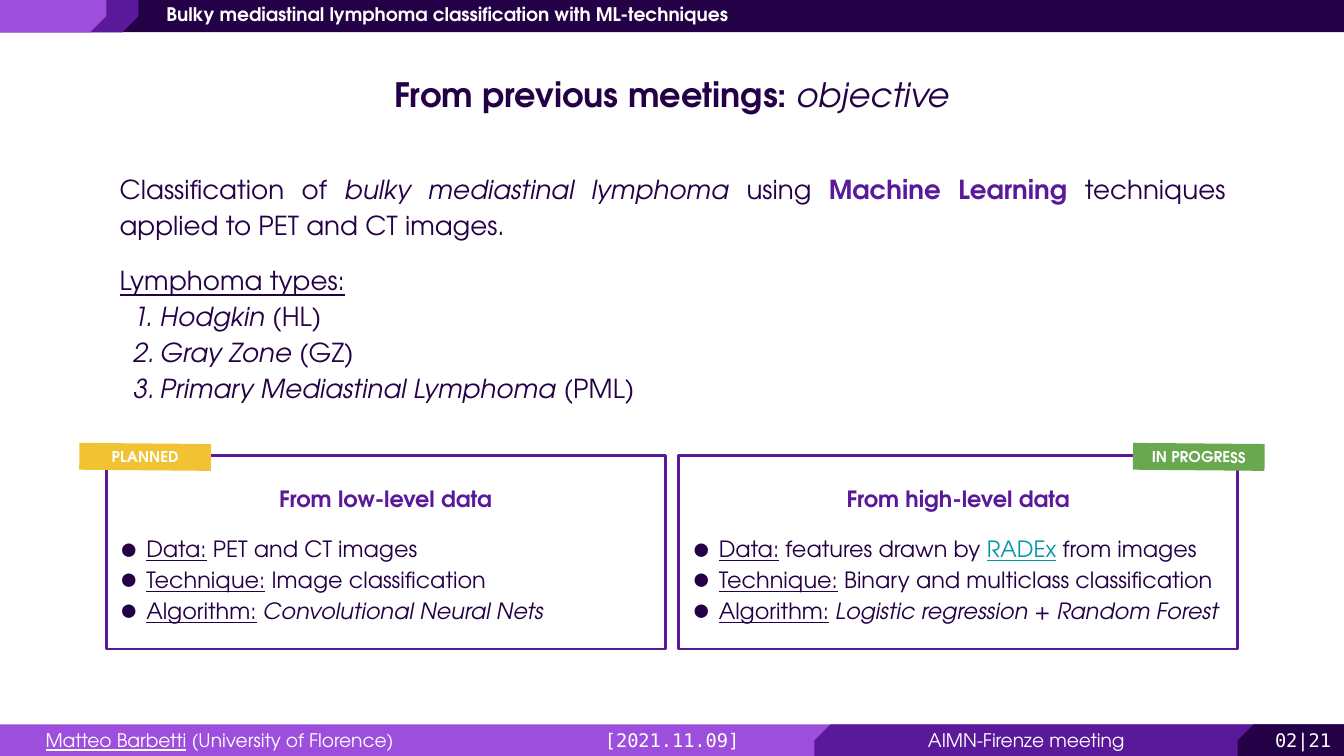
"""Build the objective slide of a lymphoma classification talk."""
from dataclasses import dataclass
from typing import Any

import pptx
import pptx.dml.color
import pptx.enum.shapes
import pptx.enum.text
import pptx.oxml
import pptx.oxml.ns
import pptx.util

Inches = pptx.util.Inches
RGBColor = pptx.dml.color.RGBColor
Align = pptx.enum.text.PP_ALIGN
Anchor = pptx.enum.text.MSO_ANCHOR
Preset = pptx.enum.shapes.MSO_SHAPE

INK = RGBColor(0x24, 0x00, 0x46)
VIOLET = RGBColor(0x5A, 0x18, 0x9A)
LILAC = RGBColor(0x9D, 0x4E, 0xDD)
WHITE = RGBColor(0xFF, 0xFF, 0xFF)
TEAL = RGBColor(0x00, 0x97, 0xA7)
GREEN = RGBColor(0x6A, 0xA8, 0x4F)
YELLOW = RGBColor(0xF1, 0xC2, 0x32)

SANS = "TeX Gyre Adventor"
MONO = "DejaVu Sans Mono"
WIDTH = 10
HEIGHT = WIDTH * 9 / 16
BAR = 0.24
FOOT = 5.39
FOOT_TEXT = 5.32


@dataclass(frozen=True)
class Span:
    text: str
    bold: bool = False
    italic: bool = False
    underline: bool = False
    color: RGBColor = INK


@dataclass(frozen=True)
class Bar:
    left: float
    top: float
    width: float
    fill: RGBColor
    snipped: bool = True


@dataclass(frozen=True)
class Caption:
    left: float
    top: float
    width: float
    span: Span
    align: Align = Align.CENTER
    font: str = SANS
    rest: str = ""


@dataclass(frozen=True)
class Card:
    left: float
    heading: str
    rows: list[list[Span]]


@dataclass(frozen=True)
class Tag:
    left: float
    text: str
    fill: RGBColor


BARS = [
    Bar(0, 0, WIDTH, INK, snipped=False),
    Bar(0, FOOT, WIDTH, LILAC, snipped=False),
    Bar(6.06, FOOT, 3.94, VIOLET),
    Bar(9.21, FOOT, 0.79, INK),
    Bar(0, 0, 1.03, VIOLET),
    Bar(0, 0, 0.79, LILAC),
]
CAPTIONS = [
    Caption(0.24, FOOT_TEXT, 3.15, Span("Matteo Barbetti", underline=True, color=WHITE),
            Align.LEFT, rest=" (University of Florence)"),
    Caption(1.14, -0.08, 4.72,
            Span("Bulky mediastinal lymphoma classification with ML-techniques",
                 bold=True, color=WHITE), Align.LEFT),
    Caption(9.34, FOOT_TEXT, 0.71, Span("02|21", color=WHITE), font=MONO),
    Caption(4.34, FOOT_TEXT, 1.32, Span("[2021.11.09]", color=WHITE), font=MONO),
    Caption(6.06, FOOT_TEXT, 3.15, Span("AIMN-Firenze meeting", color=WHITE)),
]
TITLE = [Span("From previous meetings: ", bold=True), Span("objective", italic=True)]
AIM = [
    Span("Classification of "), Span("bulky mediastinal lymphoma", italic=True),
    Span(" using "), Span("Machine Learning", bold=True, color=VIOLET),
    Span(" techniques applied to PET and CT images."),
]
TYPES = [("Hodgkin", "HL"), ("Gray Zone", "GZ"), ("Primary Mediastinal Lymphoma", "PML")]
ROW_NAMES = ["Data:", "Technique:", "Algorithm:"]
CARDS = [
    Card(0.79, "From low-level data", [
        [Span("PET and CT images")],
        [Span("Image classification")],
        [Span("Convolutional Neural Nets", italic=True)],
    ]),
    Card(5.05, "From high-level data", [
        [Span("features drawn by "), Span("RADEx", underline=True, color=TEAL),
         Span(" from images")],
        [Span("Binary and multiclass classification")],
        [Span("Logistic regression", italic=True), Span(" + "),
         Span("Random Forest", italic=True)],
    ]),
]
TAGS = [Tag(8.43, "IN PROGRESS", GREEN), Tag(0.59, "PLANNED", YELLOW)]


def write(para: Any, text: str, *, size: float, color: RGBColor = INK, font: str = SANS,
          bold: bool = False, italic: bool = False, underline: bool = False) -> None:
    run = para.add_run()
    run.text = text
    run.font.name = font
    run.font.size = pptx.util.Pt(size)
    run.font.color.rgb = color
    run.font.bold, run.font.italic, run.font.underline = bold, italic, underline


def prepare(box: Any, anchor: Anchor = Anchor.MIDDLE) -> Any:
    frame = box.text_frame
    frame.word_wrap = True
    frame.auto_size = pptx.enum.text.MSO_AUTO_SIZE.NONE
    frame.vertical_anchor = anchor
    frame.margin_left = frame.margin_right = Inches(0.1)
    frame.margin_top = frame.margin_bottom = Inches(0.1)
    return frame


def place(box: Any, left: float, top: float, width: float, height: float) -> None:
    box.left, box.top = Inches(left), Inches(top)
    box.width, box.height = Inches(width), Inches(height)


def fill_para(para: Any, spans: list[Span], size: float, align: Align,
              spacing: float = 1.0, before: float = 0, font: str = SANS) -> None:
    para.alignment = align
    para.line_spacing = spacing
    para.space_before = pptx.util.Pt(before)
    for span in spans:
        write(para, span.text, size=size, color=span.color, font=font, bold=span.bold,
              italic=span.italic, underline=span.underline)


def set_bullet(para: Any, margin: float = 0, hanging: float = 0,
               tag: str = "buNone", font: str = SANS, **marker: str) -> None:
    props = para._p.get_or_add_pPr()
    props.set("marL", str(Inches(margin)))
    props.set("indent", str(-Inches(hanging)))
    space = pptx.oxml.ns.nsdecls("a")
    if marker:
        props.append(pptx.oxml.parse_xml(
            f'<a:buClr {space}><a:srgbClr val="{INK}"/></a:buClr>'))
        props.append(pptx.oxml.parse_xml(f'<a:buFont {space} typeface="{font}"/>'))
    bullet = pptx.oxml.parse_xml(f"<a:{tag} {space}/>")
    for key, value in marker.items():
        bullet.set(key, value)
    props.append(bullet)


def add_block(page: Any, preset: Preset, left: float, top: float, width: float,
              height: float, fill: RGBColor | None = None) -> Any:
    shape = page.shapes.add_shape(
        preset, Inches(left), Inches(top), Inches(width), Inches(height))
    shape.shadow.inherit = False
    if fill is None:
        shape.fill.background()
        shape.line.color.rgb = VIOLET
        shape.line.width = pptx.util.Pt(1.5)
    else:
        shape.fill.solid()
        shape.fill.fore_color.rgb = fill
        shape.line.fill.background()
    return shape


def draw_bar(page: Any, bar: Bar) -> None:
    preset = Preset.SNIP_1_RECTANGLE if bar.snipped else Preset.RECTANGLE
    shape = add_block(page, preset, bar.left, bar.top, bar.width, BAR, bar.fill)
    if bar.snipped:
        shape.adjustments[0] = 0.5
        shape.element.spPr.xfrm.set("flipH", "1")
        shape.rotation = 180 if bar.top == 0 else 0


def draw_caption(page: Any, caption: Caption) -> None:
    box = page.shapes.add_textbox(Inches(caption.left), Inches(caption.top),
                                  Inches(caption.width), Inches(0.37))
    spans = [caption.span]
    if caption.rest:
        spans.append(Span(caption.rest, color=WHITE))
    fill_para(prepare(box, Anchor.TOP).paragraphs[0], spans, 10, caption.align,
              font=caption.font)


def draw_card(page: Any, card: Card) -> None:
    frame = prepare(add_block(page, Preset.RECTANGLE, card.left, 3.39, 4.16, 1.44))
    heading = Span(card.heading, bold=True, color=VIOLET)
    fill_para(frame.paragraphs[0], [heading], 12, Align.CENTER, 1.15)
    for index, (name, spans) in enumerate(zip(ROW_NAMES, card.rows)):
        para = frame.add_paragraph()
        fill_para(para, [Span(name, underline=True), Span(" "), *spans], 12,
                  Align.JUSTIFY, 1.15, before=0 if index else 10)
        set_bullet(para, 0.2, 0.18, "buChar", MONO, char="●")


def draw_tag(page: Any, tag: Tag) -> None:
    shape = add_block(page, Preset.RECTANGLE, tag.left, 3.3, 0.98, 0.2, tag.fill)
    shape.rotation = 0.5
    fill_para(prepare(shape).paragraphs[0], [Span(tag.text, bold=True, color=WHITE)],
              8, Align.CENTER)


def fill_placeholders(page: Any) -> None:
    title, body = page.shapes.title, page.placeholders[1]
    place(title, 0, 0.45, WIDTH, 0.5)
    fill_para(prepare(title).paragraphs[0], TITLE, 18, Align.CENTER)
    place(body, 0.79, 1.17, 8.43, 1.92)
    frame = prepare(body)
    intro, label = frame.paragraphs[0], frame.add_paragraph()
    fill_para(intro, AIM, 14, Align.JUSTIFY, 1.15)
    fill_para(label, [Span("Lymphoma types:", underline=True)], 14, Align.JUSTIFY, 1.15, 10)
    set_bullet(intro)
    set_bullet(label)
    for name, code in TYPES:
        para = frame.add_paragraph()
        fill_para(para, [Span(name, italic=True), Span(f" ({code})")], 14,
                  Align.JUSTIFY, 1.15)
        set_bullet(para, 0.3, 0.2, "buAutoNum", type="arabicPeriod")


def main() -> None:
    deck = pptx.Presentation()
    deck.slide_width, deck.slide_height = Inches(WIDTH), Inches(HEIGHT)
    page = deck.slides.add_slide(deck.slide_layouts[1])
    fill_placeholders(page)
    for draw, items in ((draw_bar, BARS), (draw_caption, CAPTIONS),
                        (draw_card, CARDS), (draw_tag, TAGS)):
        for item in items:
            draw(page, item)
    deck.save("out.pptx")


if __name__ == "__main__":
    main()
